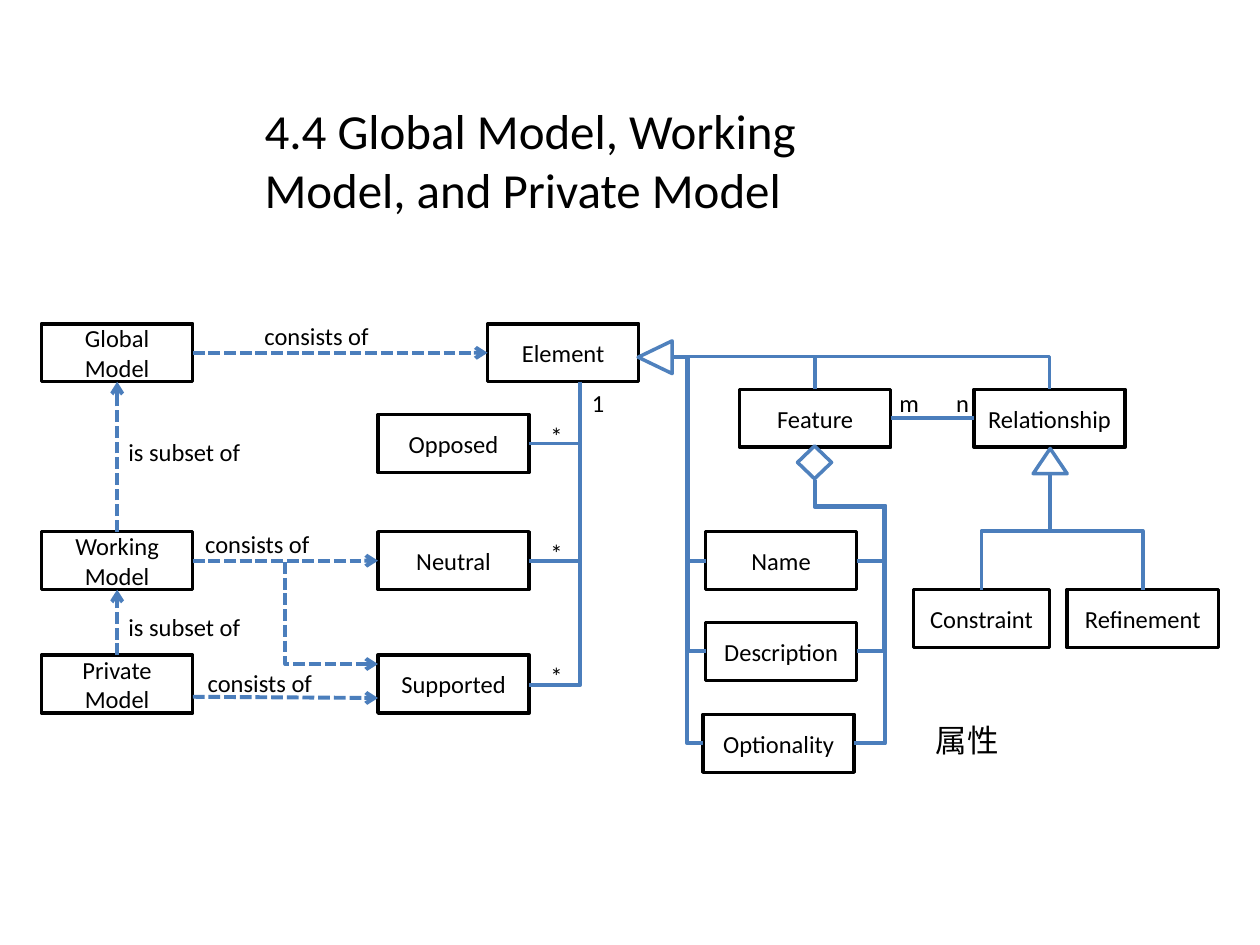
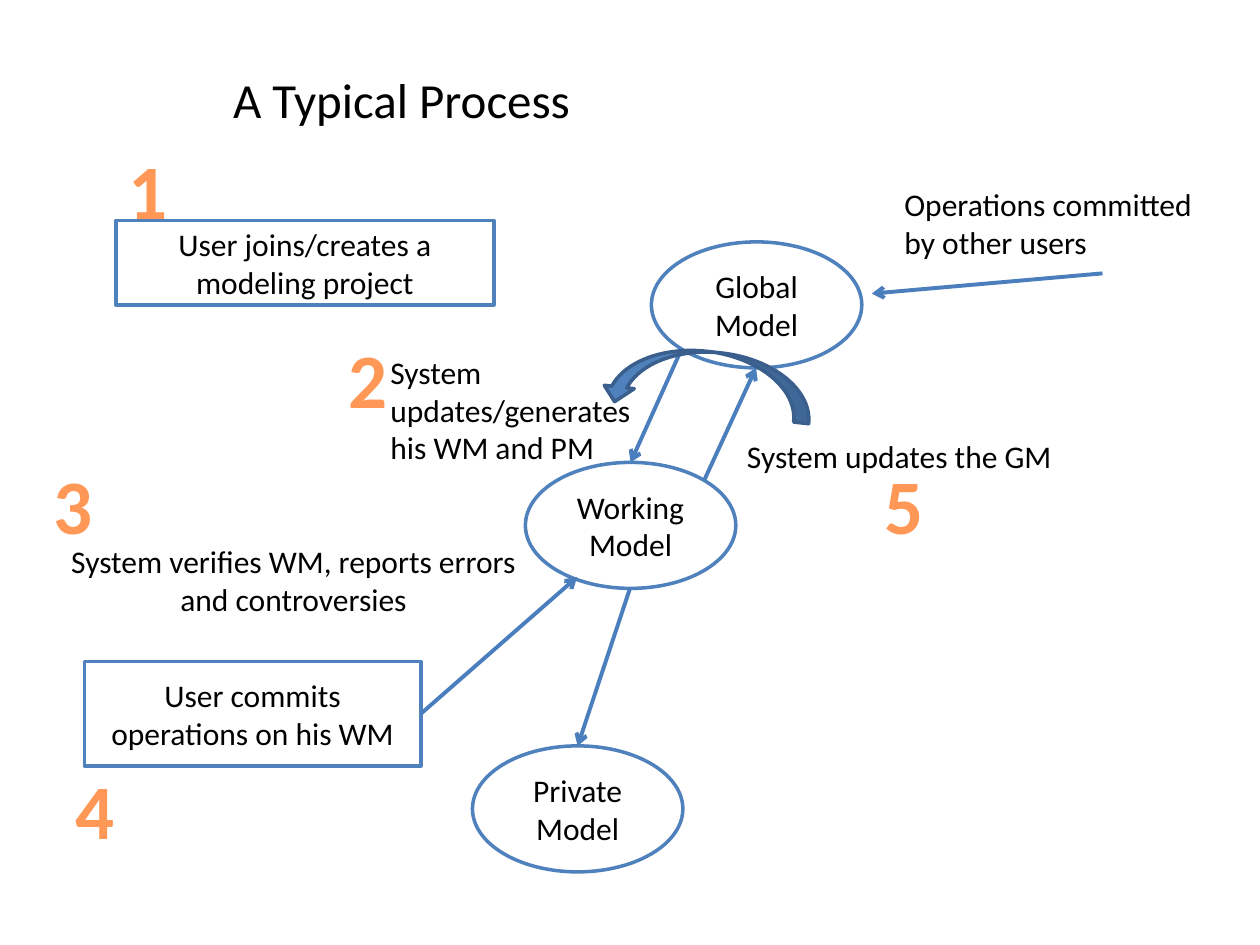
from lxml import etree
from pptx import Presentation
from pptx.dml.color import RGBColor
from pptx.enum.dml import MSO_LINE
from pptx.enum.shapes import MSO_CONNECTOR, MSO_SHAPE as Preset
from pptx.enum.text import MSO_ANCHOR as Anchor, MSO_AUTO_SIZE as AutoSize, PP_ALIGN as Align
from pptx.oxml.ns import qn
from pptx.util import Inches, Pt

BLACK = RGBColor(0x00, 0x00, 0x00)
WHITE = RGBColor(0xFF, 0xFF, 0xFF)
BLUE = RGBColor(0x4F, 0x81, 0xBD)
DARK_BLUE = RGBColor(0x3A, 0x5F, 0x8C)
LINK_BLUE = RGBColor(0x4B, 0x7E, 0xBC)
ORANGE = RGBColor(0xFF, 0x98, 0x56)
FONT = "Calibri"
TITLE = "title"

# The slide is a grid of 10 columns by 7.5 rows of square cells.
CELL = Inches(1)
COLUMNS, ROWS = 10, 7.5
TOP, LEFT, BOTTOM, RIGHT = range(4)


def put_text(slide, text, left, top, width, height, *, kind=None, size=14, bold=False,
             color=BLACK, align=Align.LEFT, wrap=True, fill=WHITE, line=BLACK, rotation=0):
    """Write text in a text box, in the title (kind=TITLE) or in a preset shape."""
    frame_box = [round(length * CELL) for length in (left, top, width, height)]
    if kind == TITLE:
        shape = slide.shapes.title
        shape.left, shape.top, shape.width, shape.height = frame_box
    elif kind is None:
        shape = slide.shapes.add_textbox(*frame_box)
    else:
        shape = slide.shapes.add_shape(kind, *frame_box)
        shape.shadow.inherit = False
        shape.fill.solid()
        shape.fill.fore_color.rgb = fill
        shape.line.color.rgb = line
        shape.line.width = Pt(2)
        shape.rotation = rotation
        align = Align.CENTER
    frame = shape.text_frame
    is_preset = kind not in (None, TITLE)
    frame.vertical_anchor = Anchor.MIDDLE if is_preset else Anchor.TOP
    frame.auto_size = AutoSize.NONE if is_preset else AutoSize.SHAPE_TO_FIT_TEXT
    frame.word_wrap = wrap
    frame.text = text
    paragraph = frame.paragraphs[0]
    paragraph.alignment = align
    for run in paragraph.runs:
        run.font.name, run.font.size, run.font.bold = FONT, Pt(size), bold
        run.font.color.rgb = color
    return shape


def connect(slide, start, end, *, bends=0, vertical=False, adjust=(), dashed=False, arrow=False):
    """Draw a connector; a vertical one leaves its start upwards or downwards."""
    (x1, y1), (x2, y2) = [[round(length * CELL) for length in point] for point in (start, end)]
    kind = MSO_CONNECTOR.ELBOW if bends else MSO_CONNECTOR.STRAIGHT
    connector = slide.shapes.add_connector(kind, x1, y1, x2, y2)
    properties = connector._element.spPr
    geometry = properties.find(qn("a:prstGeom"))
    if bends:
        geometry.set("prst", f"bentConnector{bends + 1}")
        guides = geometry.find(qn("a:avLst"))
        if guides is None:
            guides = etree.SubElement(geometry, qn("a:avLst"))
        for number, share in enumerate(adjust, 1):
            etree.SubElement(guides, qn("a:gd"), name=f"adj{number}",
                             fmla=f"val {round(share * 100000)}")
    if vertical:
        width, height = abs(y2 - y1), abs(x2 - x1)
        connector.left, connector.top = (x1 + x2 - width) // 2, (y1 + y2 - height) // 2
        connector.width, connector.height = width, height
        down, left = y2 > y1, x2 < x1
        quarter_turn = down and left
        transform = properties.find(qn("a:xfrm"))
        transform.set("rot", str((90 if quarter_turn else 270) * 60000))
        transform.set("flipH", str(int(down and not quarter_turn)))
        transform.set("flipV", str(int(left and not quarter_turn)))
    connector.line.color.rgb = LINK_BLUE
    connector.line.width = Pt(2.25)
    if dashed:
        connector.line.dash_style = MSO_LINE.SQUARE_DOT
    if arrow:
        etree.SubElement(properties.find(qn("a:ln")), qn("a:tailEnd"), type="arrow")
    etree.SubElement(properties, qn("a:effectLst"))
    return connector


presentation = Presentation()
presentation.slide_width = round(COLUMNS * CELL)
presentation.slide_height = round(ROWS * CELL)
title_only = presentation.slide_layouts[5]

# Slide 1: class diagram of the models
slide = presentation.slides.add_slide(title_only)
put_text(slide, "4.4 Global Model, Working Model, and Private Model",
         2, 0.75, 5.42, 1.04, kind=TITLE, size=28)

BOX_WIDTH, BOX_HEIGHT = 1.2, 0.46
MODEL_X, OPINION_X, PART_X = 0.33, 3, 5.6
TOP_Y, MIDDLE_Y, LOW_Y = 2.57, 4.22, 5.2
boxes = {}
for name, left, top, width in [
    ("Element", 3.87, TOP_Y, BOX_WIDTH),
    ("Feature", 5.87, 3.09, BOX_WIDTH),
    ("Relationship", 7.73, 3.09, BOX_WIDTH),
    ("Constraint", 7.25, 4.68, 1.08),
    ("Refinement", 8.47, 4.68, BOX_WIDTH),
    ("Opposed", OPINION_X, 3.29, BOX_WIDTH),
    ("Neutral", OPINION_X, MIDDLE_Y, BOX_WIDTH),
    ("Supported", OPINION_X, LOW_Y, BOX_WIDTH),
    ("Global Model", MODEL_X, TOP_Y, BOX_WIDTH),
    ("Working Model", MODEL_X, MIDDLE_Y, BOX_WIDTH),
    ("Private Model", MODEL_X, LOW_Y, BOX_WIDTH),
    ("Name", PART_X, MIDDLE_Y, BOX_WIDTH),
    ("Description", PART_X, 4.94, BOX_WIDTH),
    ("Optionality", 5.58, 5.67, BOX_WIDTH),
]:
    boxes[name] = put_text(slide, name, left, top, width, BOX_HEIGHT, kind=Preset.RECTANGLE)

# Straight links between the middles of box sides
for first, first_side, second, second_side, start, end, dashed in [
    ("Global Model", RIGHT, "Element", LEFT, (1.53, 2.8), (3.87, 2.8), True),
    ("Working Model", RIGHT, "Neutral", LEFT, (1.53, 4.45), (3, 4.45), True),
    ("Working Model", TOP, "Global Model", BOTTOM, (0.93, 4.22), (0.93, 3.03), True),
    ("Private Model", TOP, "Working Model", BOTTOM, (0.93, 5.2), (0.93, 4.68), True),
    ("Feature", RIGHT, "Relationship", LEFT, (7.07, 3.32), (7.73, 3.32), False),
]:
    link = connect(slide, start, end, dashed=dashed, arrow=dashed)
    link.begin_connect(boxes[first], first_side)
    link.end_connect(boxes[second], second_side)
connect(slide, (1.53, 5.53), (3, 5.54), dashed=True, arrow=True)
connect(slide, (1.53, 4.45), (3, 5.27), bends=2, dashed=True, arrow=True)

# Element and its opinions
for y in (3.52, 4.45, 5.44):
    connect(slide, (4.6, 3.03), (4.2, y), bends=1, vertical=True)

# Element and its kinds
element_tip = (5.33, 2.83)
connect(slide, (6.47, 3.09), (5.53, 2.83), bends=1, vertical=True)
connect(slide, element_tip, (8.33, 3.09), bends=1)
for part_side in [(5.6, 4.45), (5.6, 5.17), (5.58, 5.9)]:
    connect(slide, element_tip, part_side, bends=2)

# Feature and its parts, Relationship and its kinds
for part_side, adjust in [
    ((6.8, 4.45), (0.32, 1.69)),
    ((6.8, 5.17), (0.16, 1.66)),
    ((6.78, 5.9), (0.1, 1.79)),
]:
    connect(slide, (6.47, 3.81), part_side, bends=3, vertical=True, adjust=adjust)
for x in (7.79, 9.07):
    connect(slide, (8.33, 3.75), (x, 4.68), bends=2, vertical=True)

for preset, left, top, width, height, rotation in [
    (Preset.ISOSCELES_TRIANGLE, 5.07, 2.7, 0.26, 0.27, 270),
    (Preset.ISOSCELES_TRIANGLE, 8.2, 3.56, 0.27, 0.2, 0),
    (Preset.DIAMOND, 6.33, 3.54, 0.27, 0.26, 0),
]:
    put_text(slide, "", left, top, width, height, kind=preset, line=BLUE, rotation=rotation)

for label, left, top, width in [
    ("m", 7.04, 3.03, 0.32), ("n", 7.49, 3.03, 0.32), ("1", 4.6, 3.03, 0.3),
    ("*", 4.27, 3.29, 0.3), ("*", 4.27, MIDDLE_Y, 0.3), ("*", 4.27, LOW_Y, 0.3),
    ("consists of", 2, 2.5, 1.04),
    ("consists of", 1.53, 4.15, 1.04),
    ("consists of", 1.55, 5.25, 1.04),
    ("is subset of", 0.92, 3.42, 1.1),
    ("is subset of", 0.92, 4.81, 1.1),
]:
    put_text(slide, label, left, top, width, 0.34, wrap=label in ("m", "n"))
put_text(slide, "属性", 7.33, 5.67, 1.25, 0.4, size=18)

# Slide 2: the process in five numbered steps
slide = presentation.slides.add_slide(title_only)
put_text(slide, "A Typical Process", 1.75, 0.5, 2.91, 0.57, kind=TITLE, size=28)

models = {}
for name, left, top in [
    ("Global Model", 5.17, 1.92), ("Working Model", 4.17, 3.67), ("Private Model", 3.75, 5.92),
]:
    models[name] = put_text(slide, name, left, top, 1.67, 1, kind=Preset.OVAL, size=18, line=BLUE)

put_text(slide, "User joins/creates a modeling project", 0.92, 1.75, 3, 0.67,
         kind=Preset.RECTANGLE, size=18, line=BLUE)
commit_box = put_text(slide, "User commits operations on his WM", 0.67, 5.25, 2.67, 0.83,
                      kind=Preset.RECTANGLE, size=18, line=BLUE)

for start, end, target in [
    ((5.41, 2.77), (5, 3.67), "Working Model"),
    ((5, 4.67), (4.58, 5.92), "Private Model"),
    ((5.59, 3.81), (6, 2.92), None),
    ((8.75, 2.17), (6.92, 2.33), None),
]:
    flow = connect(slide, start, end, arrow=True)
    if target:
        flow.end_connect(models[target], TOP)
commit_flow = connect(slide, (3.33, 5.67), (4.58, 4.58), arrow=True)
commit_flow.begin_connect(commit_box, RIGHT)

for step, left, top, width, height, align, wrap in [
    ("System updates/generates his WM and PM", 3, 2.75, 2.17, 1.01, Align.LEFT, True),
    ("System verifies WM, reports errors and controversies",
     0.33, 4.25, 4, 0.71, Align.CENTER, True),
    ("System updates the GM", 5.83, 3.42, 2.65, 0.4, Align.LEFT, False),
    ("Operations committed by other users", 7.08, 1.42, 2.67, 0.71, Align.LEFT, True),
]:
    put_text(slide, step, left, top, width, height, size=18, align=align, wrap=wrap)

step_places = [(0.92, 1.08, 0.42), (2.67, 2.58, 0.42), (0.33, 3.58, 0.33),
               (0.5, 6, 0.33), (6.92, 3.58, 0.33)]
for number, (left, top, width) in enumerate(step_places, 1):
    put_text(slide, str(number), left, top, width, 0.84, size=44, bold=True,
             color=ORANGE, align=Align.CENTER)

put_text(slide, "", 4.78, 2.79, 1.67, 0.48, kind=Preset.CURVED_UP_ARROW,
         fill=BLUE, line=DARK_BLUE, rotation=186.5)

presentation.save("out.pptx")
